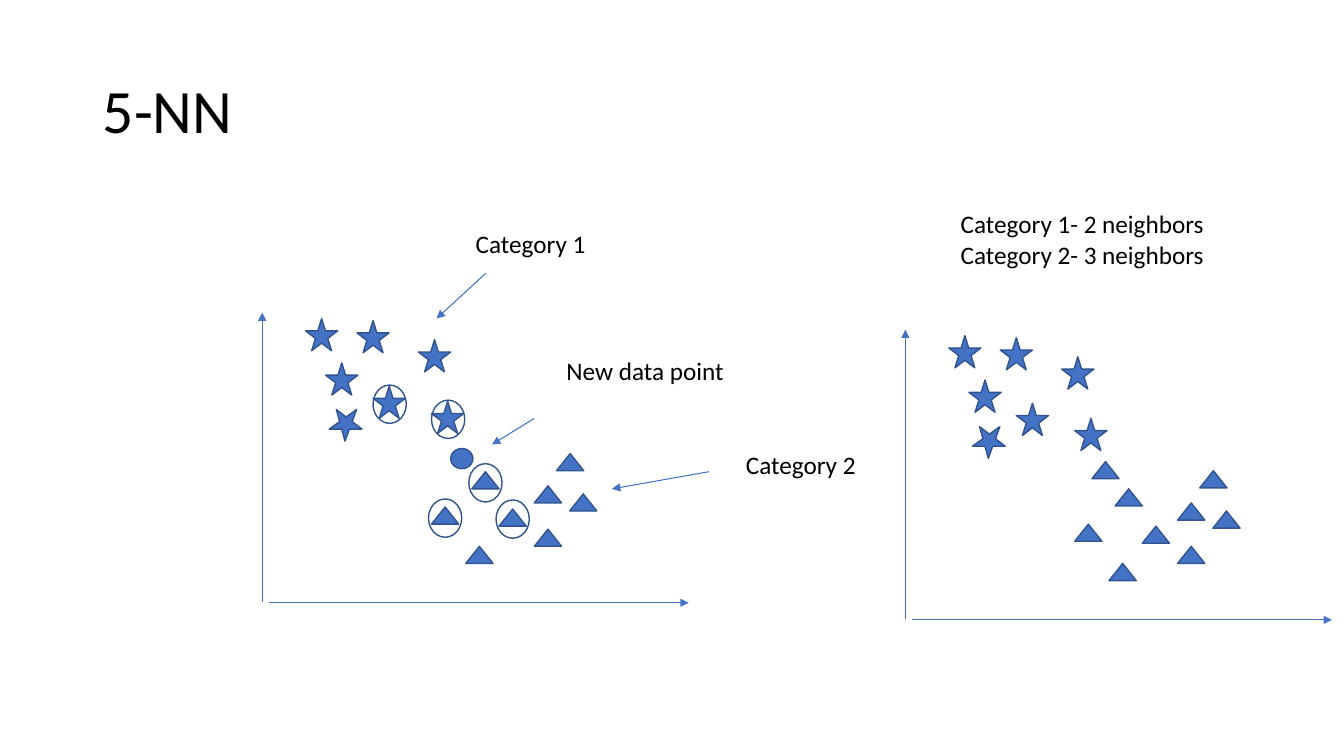
from lxml import etree
from pptx import Presentation
from pptx.dml.color import RGBColor
from pptx.enum.shapes import MSO_CONNECTOR, MSO_SHAPE
from pptx.enum.text import MSO_ANCHOR, MSO_AUTO_SIZE, PP_ALIGN
from pptx.oxml.ns import qn
from pptx.util import Pt

PX = 9144
STRAIGHT = MSO_CONNECTOR.STRAIGHT
STAR, TRIANGLE, OVAL = MSO_SHAPE.STAR_5_POINT, MSO_SHAPE.ISOSCELES_TRIANGLE, MSO_SHAPE.OVAL
BLUE, OUTLINE, BLACK = "4472C4", "31538F", "000000"


def color(hex_string):
    return RGBColor.from_string(hex_string)


def write(shape, lines, size, spacing, format_values):
    frame = shape.text_frame
    frame.text = "\n".join(lines)
    for name, value in format_values.items():
        setattr(frame, name, value)
    for paragraph in frame.paragraphs:
        paragraph.alignment = PP_ALIGN.LEFT
        paragraph.line_spacing = spacing
        for name, value in {"name": "Calibri", "size": Pt(size)}.items():
            setattr(paragraph.font, name, value)
        paragraph.font.color.rgb = color(BLACK)


presentation = Presentation()
presentation.slide_width = 1333 * PX
presentation.slide_height = 750 * PX
slide = presentation.slides.add_slide(presentation.slide_layouts[5])
shapes = slide.shapes

title = shapes.title
for name, value in {"left": 92, "top": 40, "width": 1150, "height": 145}.items():
    setattr(title, name, value * PX)
write(title, ["5-NN"], 44, 0.9, {
    "word_wrap": True,
    "auto_size": MSO_AUTO_SIZE.NONE,
    "vertical_anchor": MSO_ANCHOR.MIDDLE,
})

axes = [(267, 598, 683, 598), (260, 597, 260, 310)]
category_1 = [(303, 316), (323, 360), (354, 318), (370, 383), (415, 337), (428, 398)]
turned_star = [(328, 403)]
category_2 = [(530, 525), (552, 450), (530, 482), (468, 468),
              (428, 503), (495, 505), (462, 542), (565, 490)]
new_point = (447, 445)
classified_point = (1083, 458)
neighbors = [(428, 397), (465, 460), (425, 495), (492, 496), (370, 382)]

arrows = [(530, 415, 488, 441), (482, 271, 433, 316), (703, 468, 607, 485)]
markers = []
for shift_x, shift_y in [(0, 0), (638, 17)]:
    for x1, y1, x2, y2 in axes:
        arrows.append((x1 + shift_x, y1 + shift_y, x2 + shift_x, y2 + shift_y))
    for kind, points, width, height, angle in [
        (TRIANGLE, category_2, 27, 17, 0),
        (STAR, category_1, 32, 32, 0),
        (STAR, turned_star, 32, 32, 37.3),
    ]:
        for x, y in points:
            markers.append((kind, x + shift_x, y + shift_y, width, height, angle, True))
markers.append((OVAL, *new_point, 22, 20, 0, True))
markers.append((TRIANGLE, *classified_point, 27, 17, 0, True))
for x, y in neighbors:
    markers.append((OVAL, x, y, 33, 38, 0, False))

for x1, y1, x2, y2 in arrows:
    arrow = shapes.add_connector(STRAIGHT, x1 * PX, y1 * PX, x2 * PX, y2 * PX)
    arrow.line.color.rgb = color(BLUE)
    arrow.line.width = Pt(0.75)
    properties = arrow._element.spPr
    etree.SubElement(properties.find(qn("a:ln")), qn("a:tailEnd"), type="triangle")
    etree.SubElement(properties, qn("a:effectLst"))

for kind, x, y, width, height, angle, filled in markers:
    marker = shapes.add_shape(kind, x * PX, y * PX, width * PX, height * PX)
    marker.shadow.inherit = False
    marker.rotation = angle
    if filled:
        marker.fill.solid()
        marker.fill.fore_color.rgb = color(BLUE)
    else:
        marker.fill.background()
    marker.line.color.rgb = color(OUTLINE)
    marker.line.width = Pt(1)

for lines, x, y, width, height in [
    (["New data point"], 552, 348, 210, 40),
    (["Category 1"], 462, 222, 170, 40),
    (["Category 2"], 730, 441, 170, 40),
    (["Category 1- 2 neighbors", "Category 2- 3 neighbors"], 943, 202, 315, 71),
]:
    label = shapes.add_textbox(x * PX, y * PX, width * PX, height * PX)
    write(label, lines, 18, 1.0, {
        "word_wrap": True,
        "auto_size": MSO_AUTO_SIZE.SHAPE_TO_FIT_TEXT,
    })

presentation.save("out.pptx")
